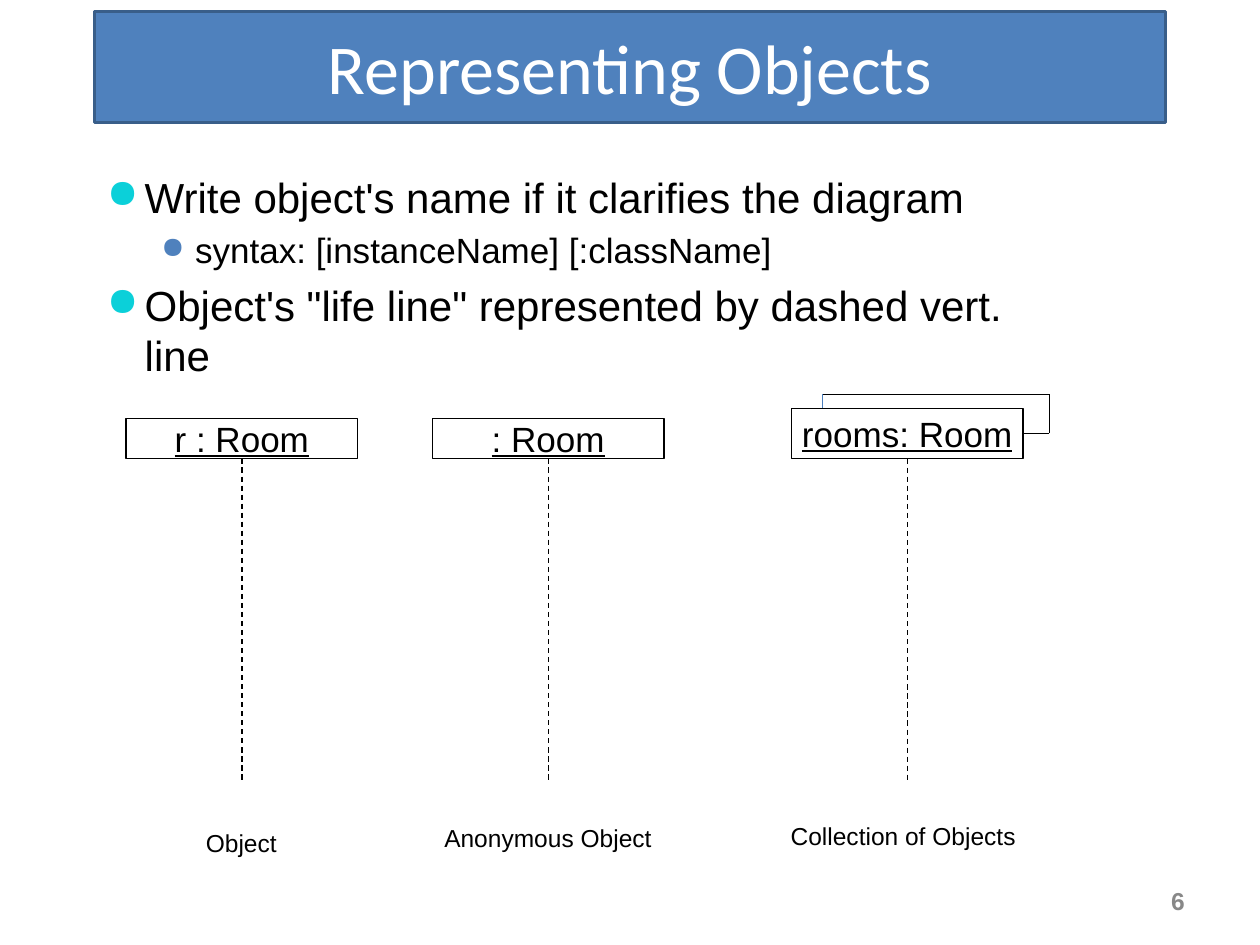
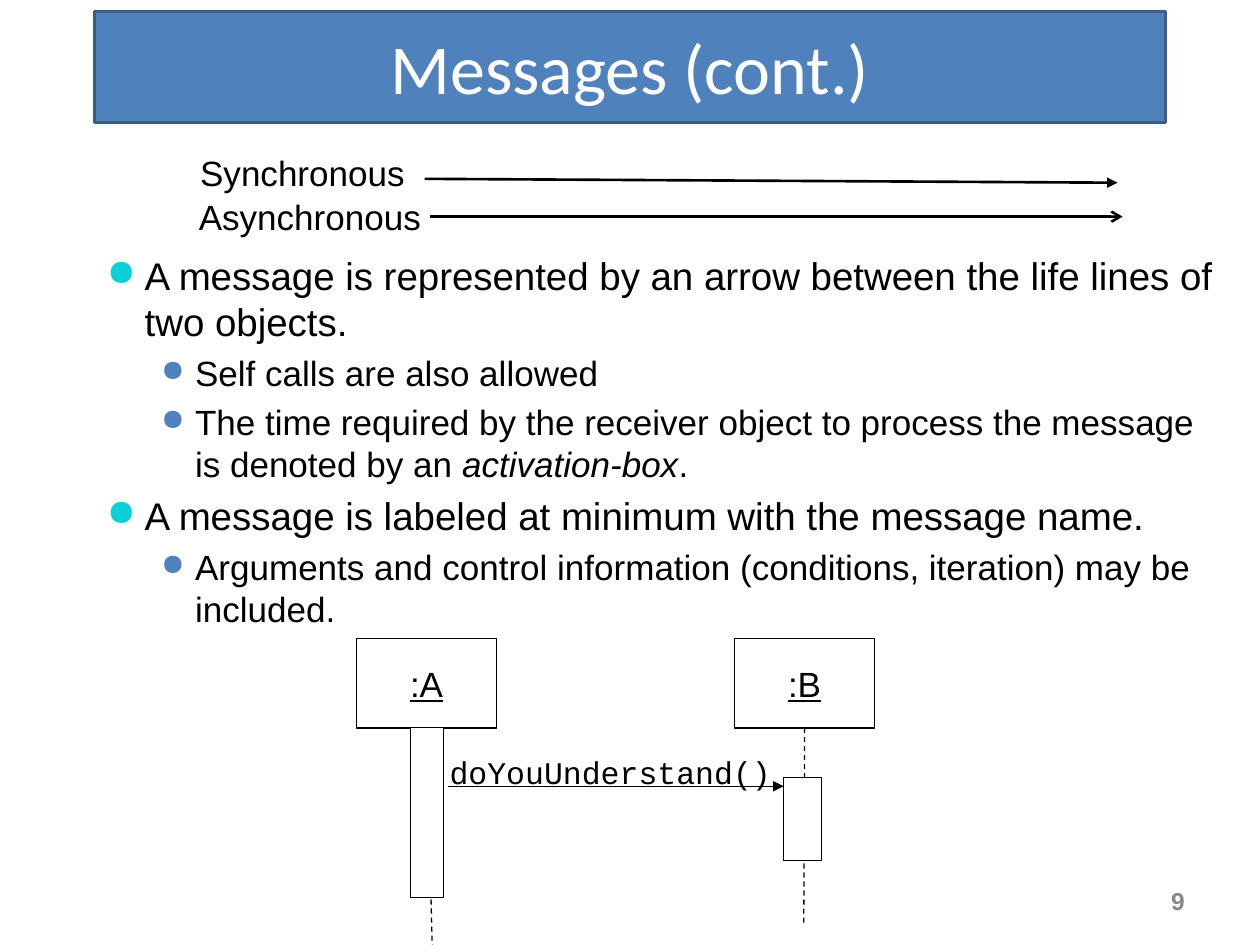
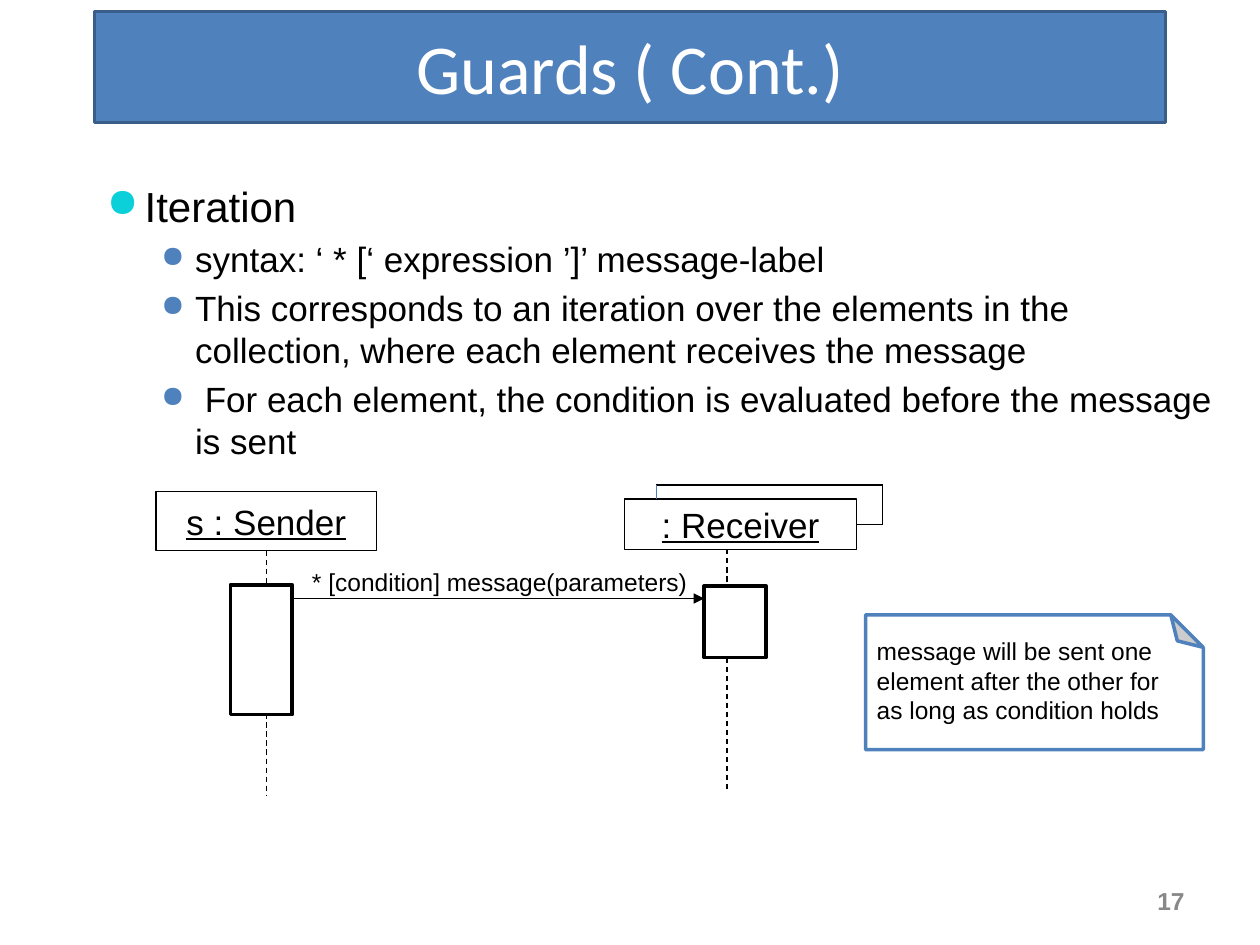
"""Builds three slides on UML sequence diagrams."""
from collections import namedtuple

from lxml.etree import SubElement
from pptx import Presentation
from pptx.dml.color import RGBColor
from pptx.enum.dml import MSO_LINE
from pptx.enum.shapes import MSO_CONNECTOR, MSO_SHAPE
from pptx.enum.text import MSO_ANCHOR, PP_ALIGN
from pptx.oxml.ns import qn
from pptx.util import Pt

COLORS = {
    "band": "4F81BD", "band_edge": "395E89", "white": "FFFFFF", "ink": "000000",
    "number": "888888", "bullet": "0BD0D9", "sub_bullet": "4F81BD", "stack_edge": "4B7EBC",
}
LEVELS = [
    {"margin": 21.6, "hang": 21.6, "color": "bullet", "percent": 95},
    {"margin": 50.4, "hang": 19.4, "color": "sub_bullet", "percent": 85},
]
BOTTOM, RIGHT = 2, 3
Box = namedtuple("Box", "left top width height")


def inside(box, dx, dy, width, height):
    return Box(box.left + dx, box.top + dy, width, height)


def point(box, dx, dy):
    return box.left + dx, box.top + dy


def rgb(name):
    return RGBColor.from_string(COLORS[name])


def style(font, size, color="ink", face="Arial"):
    font.size, font.name = Pt(size), face
    font.color.rgb = rgb(color)


def add_text(slide, box, text, size, color="ink", face="Arial",
             align=PP_ALIGN.LEFT, wrap=True):
    frame = slide.shapes.add_textbox(*map(Pt, box)).text_frame
    frame.word_wrap = wrap
    frame.text = text
    paragraph = frame.paragraphs[0]
    paragraph.alignment = align
    style(paragraph.font, size, color, face)
    return frame


def add_panel(slide, box, fill=None, edge="ink", width=0.75, kind=MSO_SHAPE.RECTANGLE):
    panel = slide.shapes.add_shape(kind, *map(Pt, box))
    panel.shadow.inherit = False
    if fill:
        panel.fill.solid()
        panel.fill.fore_color.rgb = rgb(fill)
    else:
        panel.fill.background()
    panel.line.color.rgb = rgb(edge)
    panel.line.width = Pt(width)
    return panel


def label_panel(panel, text, size, color="ink", face="Arial"):
    frame = panel.text_frame
    frame.text = text
    frame.vertical_anchor = MSO_ANCHOR.MIDDLE
    paragraph = frame.paragraphs[0]
    paragraph.alignment = PP_ALIGN.CENTER
    style(paragraph.font, size, color, face)
    return frame


def add_line(slide, start, end, color="ink", width=0.75, dashed=False, tail=None):
    line = slide.shapes.add_connector(MSO_CONNECTOR.STRAIGHT, *map(Pt, start + end))
    line.line.color.rgb = rgb(color)
    line.line.width = Pt(width)
    properties = line._element.spPr
    if dashed:
        line.line.dash_style = MSO_LINE.DASH
    if tail:
        SubElement(properties.find(qn("a:ln")), qn("a:tailEnd"), type=tail)
    SubElement(properties, qn("a:effectLst"))
    return line


def add_participant(slide, box, name, foot=None):
    head = add_panel(slide, box)
    frame = label_panel(head, name, 20)
    frame.word_wrap = False
    frame.paragraphs[0].font.underline = True
    if foot:
        start = point(box, box.width / 2, box.height)
        add_line(slide, start, foot, dashed=True).begin_connect(head, BOTTOM)
    return head


def add_stack(slide, box, head):
    middle = point(box, box.width, box.height / 2)
    outer = point(box, box.width + 15, box.height / 2)
    corner = point(box, box.width + 15, -8)
    inner = point(box, 18, -8)
    add_line(slide, middle, outer).begin_connect(head, RIGHT)
    add_line(slide, outer, corner)
    add_line(slide, corner, inner)
    add_line(slide, inner, point(box, 18, 0), "stack_edge")


def add_bullets(slide, box, items, top_size):
    frame = slide.shapes.add_textbox(*map(Pt, box)).text_frame
    frame.word_wrap = True
    for index, (level, text) in enumerate(items):
        paragraph = frame.paragraphs[0] if index == 0 else frame.add_paragraph()
        look = LEVELS[level]
        size = 20 if level else top_size
        paragraph.level = level
        if index:
            paragraph.space_before = Pt(size * 0.2)
        properties = paragraph._p.get_or_add_pPr()
        properties.set("marL", str(Pt(look["margin"])))
        properties.set("indent", str(-Pt(look["hang"])))
        tint = SubElement(properties, qn("a:buClr"))
        SubElement(tint, qn("a:srgbClr"), val=COLORS[look["color"]])
        SubElement(properties, qn("a:buSzPct"), val=str(look["percent"] * 1000))
        SubElement(properties, qn("a:buChar"), char="●")
        style(paragraph.font, size)
        for part, words in enumerate(text.split("|")):
            run = paragraph.add_run()
            run.text = words
            if part % 2:
                run.font.italic = True


def start_slide(deck, title, number):
    slide = deck.slides.add_slide(deck.slide_layouts[6])
    band = add_panel(slide, Box(54, 6.5, 612, 63.4), "band", "band_edge", 2)
    label_panel(band, title, 40, "white", "Calibri")
    frame = add_text(slide, Box(516, 500.4, 168, 28.8), number, 14, "number",
                     align=PP_ALIGN.RIGHT)
    frame.vertical_anchor = MSO_ANCHOR.MIDDLE
    frame.paragraphs[0].font.bold = True
    return slide


def draw_object_kinds(slide, box):
    kinds = [
        (Box(0, 5.7, 132.5, 23), "r : Room", "Object", Box(38.2, 236.1, 55.4, 24.5)),
        (Box(175, 5.7, 132.5, 23), ": Room", "Anonymous Object",
         Box(174.2, 233.2, 134, 24.5)),
        (Box(380.2, 0, 132.5, 28.8), "rooms: Room", "Collection of Objects",
         Box(372.2, 232.5, 144, 24.5)),
    ]
    for spot, name, caption, caption_spot in kinds:
        head_box = inside(box, *spot)
        foot = point(box, spot.left + spot.width / 2, box.height)
        head = add_participant(slide, head_box, name, foot)
        add_text(slide, inside(box, *caption_spot), caption, 14,
                 align=PP_ALIGN.CENTER, wrap=False)
    add_stack(slide, head_box, head)


def draw_arrow_legend(slide, box):
    rows = [
        ("Synchronous", 0.8, 0, 134.6, (136.1, 19.4), 21.6, "triangle"),
        ("Asynchronous", 0, 25.2, 152.6, (139, 41), 41, "arrow"),
    ]
    for name, dx, dy, width, (start_x, start_y), end_y, tail in rows:
        add_line(slide, point(box, start_x, start_y), point(box, start_x + 396, end_y),
                 width=1.5, tail=tail)
        add_text(slide, inside(box, dx, dy, width, 31.7), name, 20)


def draw_call(slide, box):
    for name, dx, foot in ((":A", 0, (43.2, 175)), (":B", 216, (255.5, 163.5))):
        add_participant(slide, inside(box, dx, 0, 80, 51), name, point(box, *foot))
    add_panel(slide, inside(box, 30.8, 50.6, 18.8, 97.2), "white")
    add_line(slide, point(box, 52.5, 84.3), point(box, 244, 84.3), tail="triangle")
    add_panel(slide, inside(box, 244, 79.2, 21.6, 47.6), "white")
    add_text(slide, inside(box, 46, 62, 203, 27.4), "doYouUnderstand()", 18,
             face="Courier New")


def draw_iteration(slide, box):
    add_participant(slide, inside(box, 0, 3.6, 126, 34), "s : Sender",
                    point(box, 63, 177))
    add_line(slide, point(box, 326.2, 36.7), point(box, 326.2, 175), dashed=True)
    add_line(slide, point(box, 77.8, 64.8), point(box, 313.2, 64.8), tail="triangle")
    add_panel(slide, inside(box, 42.5, 57, 35.3, 74.2), "white", width=2)
    add_panel(slide, inside(box, 313.2, 57.6, 35.3, 41), "white", width=2)
    add_text(slide, inside(box, 82, 43.2, 232.6, 24.5),
             "* [condition] message(parameters)", 14)
    receiver_box = inside(box, 267.8, 8, 132.5, 28.8)
    add_stack(slide, receiver_box, add_participant(slide, receiver_box, ": Receiver"))


def draw_note(slide, box):
    sheet = add_panel(slide, box, "white", "band", 2, MSO_SHAPE.FOLDED_CORNER)
    properties = sheet._element.spPr
    properties.find(qn("a:xfrm")).set("flipV", "1")
    guides = properties.find(qn("a:prstGeom")).get_or_add_avLst()
    SubElement(guides, qn("a:gd"), name="adj", fmla="val 24100")
    add_text(slide, inside(box, -0.7, 8.6, box.width - 2, 58.3),
             "message will be sent one element after the other for "
             "as long as condition holds", 14)


def build_objects_slide(deck):
    slide = start_slide(deck, "Representing Objects", "6")
    draw_object_kinds(slide, Box(72, 233.3, 528, 212.4))
    add_bullets(slide, Box(54, 94.3, 545.8, 129.6), [
        (0, "Write object's name if it clarifies the diagram"),
        (1, "syntax: [instanceName] [:className]"),
        (0, "Object's \"life line\" represented by dashed vert. line"),
    ], 24)


def build_messages_slide(deck):
    slide = start_slide(deck, "Messages (cont.)", "9")
    add_bullets(slide, Box(54, 140.4, 648, 234), [
        (0, "A message is represented by an arrow between the life lines of two objects."),
        (1, "Self calls are also allowed"),
        (1, "The time required by the receiver object to process the message "
            "is denoted by an |activation-box|."),
        (0, "A message is labeled at minimum with the message name."),
        (1, "Arguments and control information (conditions, iteration) may be included."),
    ], 22)
    draw_call(slide, Box(203.8, 365, 296, 175))
    draw_arrow_legend(slide, Box(106.5, 82.8, 535, 57))


def build_guards_slide(deck):
    slide = start_slide(deck, "Guards ( Cont.)", "17")
    add_bullets(slide, Box(54, 99.4, 648, 183.6), [
        (0, "Iteration"),
        (1, "syntax: ‘ * [‘ expression ’]’ message-label"),
        (1, "This corresponds to an iteration over the elements in the collection, "
            "where each element receives the message"),
        (1, " For each element, the condition is evaluated before the message is sent"),
    ], 24)
    draw_iteration(slide, Box(89.2, 277.2, 416, 177))
    draw_note(slide, Box(494.6, 351.4, 193, 77))


def main():
    deck = Presentation()
    deck.slide_width, deck.slide_height = Pt(720), Pt(540)
    build_objects_slide(deck)
    build_messages_slide(deck)
    build_guards_slide(deck)
    deck.save("out.pptx")


if __name__ == "__main__":
    main()
